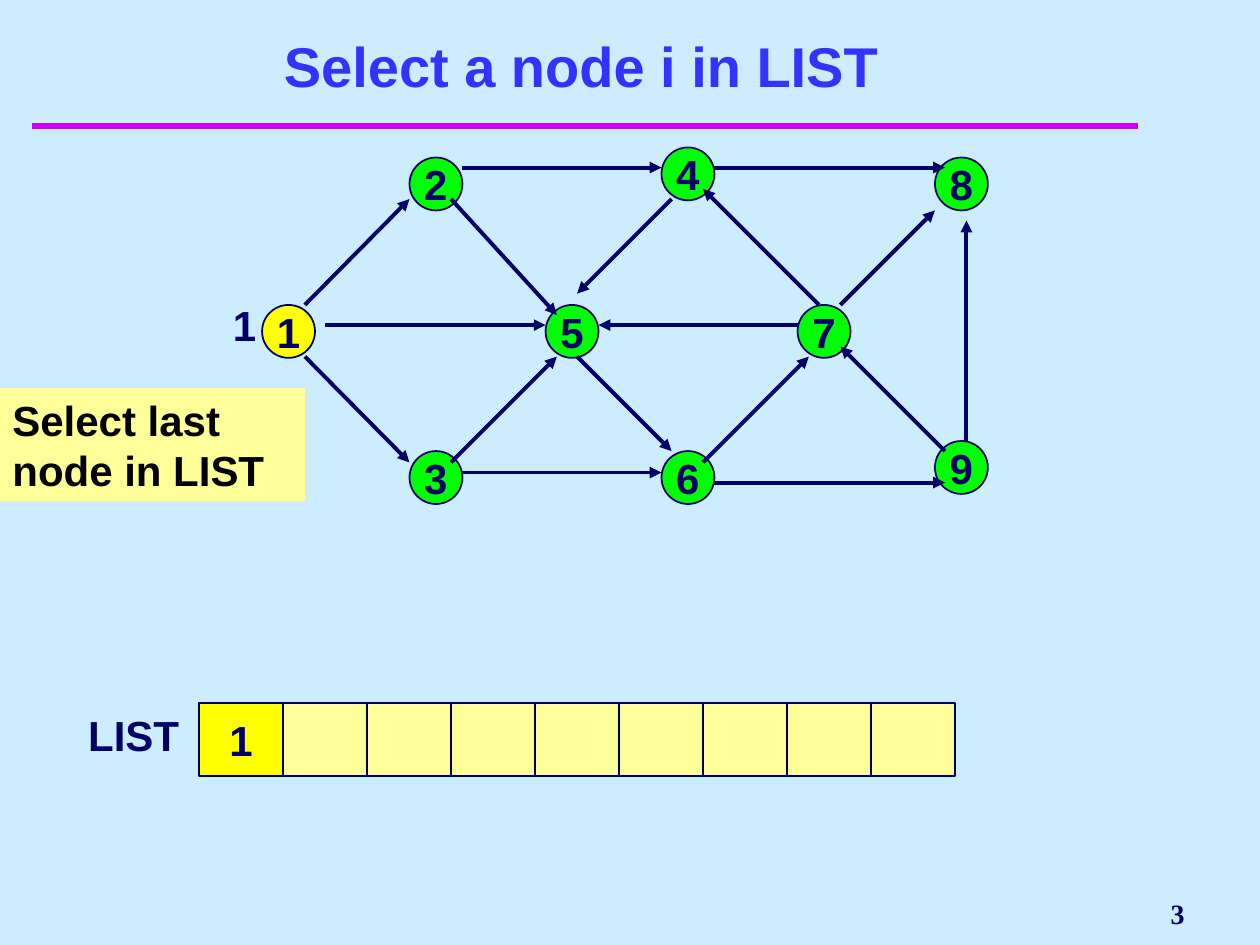
from pptx import Presentation
from pptx.dml.color import RGBColor
from pptx.enum.shapes import MSO_CONNECTOR as Link, MSO_SHAPE as Kind
from pptx.enum.text import MSO_ANCHOR as Anchor, MSO_AUTO_SIZE as Fit, PP_ALIGN as Align
from pptx.oxml.ns import qn
from pptx.util import Inches, Pt
from lxml.etree import SubElement

NAVY, GREEN, YELLOW, CREAM = "000066", "00FF00", "FFFF00", "FFFF99"
SIDE = 0.42
NODES = [
    ("2", 3.25, 1.25), ("4", 5.25, 1.17), ("5", 4.33, 2.42), ("3", 3.25, 3.58),
    ("6", 5.25, 3.58), ("9", 7.42, 3.5), ("7", 6.33, 2.42), ("8", 7.42, 1.25),
]
ARCS = [
    (3.67, 1.33, 5.25, 1.33), (5.67, 1.33, 7.5, 1.33), (6.67, 2.42, 7.42, 1.67),
    (6.5, 2.42, 5.58, 1.5), (5.33, 1.58, 4.58, 2.33), (2.58, 2.58, 4.33, 2.58),
    (3.58, 3.67, 4.42, 2.83), (4.58, 2.83, 5.33, 3.58), (3.67, 3.75, 5.25, 3.75),
    (5.67, 3.83, 7.5, 3.83), (7.5, 3.58, 6.67, 2.75), (7.67, 3.5, 7.67, 1.75),
    (2.42, 2.83, 3.25, 3.67), (2.42, 2.42, 3.25, 1.58), (3.58, 1.58, 4.42, 2.5),
    (6.33, 2.58, 4.75, 2.58), (5.58, 3.67, 6.42, 2.83),
]


def color(code):
    """Turn a hex string into a colour."""
    return RGBColor.from_string(code)


def write(shape, text, size=24, ink=NAVY, font="Arial", align=Align.LEFT,
          anchor=Anchor.TOP, wrap=True):
    """Put one bold run into a shape."""
    frame = shape.text_frame
    frame.word_wrap, frame.auto_size = wrap, Fit.NONE
    frame.vertical_anchor = anchor
    par = frame.paragraphs[0]
    par.alignment = align
    run = par.add_run()
    run.text = text
    run.font.name, run.font.size, run.font.bold = font, Pt(size), True
    run.font.color.rgb = color(ink)


def add_title(slide, text):
    """Place and format the title."""
    title = slide.shapes.title
    title.left, title.top = Inches(0.5), Inches(0.25)
    title.width, title.height = Inches(8.5), Inches(0.58)
    write(title, text, 32, "3333FF", align=Align.CENTER, anchor=Anchor.BOTTOM)
    title.text_frame.margin_right = Inches(0.37)


def add_label(slide, text, x, y, w, h, **style):
    """Add a plain text box."""
    box = slide.shapes.add_textbox(Inches(x), Inches(y), Inches(w), Inches(h))
    write(box, text, **style)
    return box


def add_block(slide, kind, x, y, w, h, fill, text="", edge=NAVY):
    """Add a filled shape with optional centred text."""
    shape = slide.shapes.add_shape(kind, Inches(x), Inches(y), Inches(w), Inches(h))
    shape.shadow.inherit = False
    shape.fill.solid()
    shape.fill.fore_color.rgb = color(fill)
    if edge:
        shape.line.color.rgb = color(edge)
        shape.line.width = Pt(1)
    else:
        shape.line.fill.background()
    if text:
        write(shape, text, align=Align.CENTER, anchor=Anchor.MIDDLE, wrap=False)
    return shape


def add_node(slide, text, x, y, fill=GREEN):
    """Add a numbered node of the graph."""
    add_block(slide, Kind.OVAL, x, y, SIDE, SIDE, fill, text)


def add_line(slide, x1, y1, x2, y2, ink=NAVY, width=2.25, arrow=True):
    """Add a straight line, by default with an arrowhead."""
    line = slide.shapes.add_connector(
        Link.STRAIGHT, Inches(x1), Inches(y1), Inches(x2), Inches(y2))
    line.line.color.rgb = color(ink)
    line.line.width = Pt(width)
    if arrow:
        SubElement(line.line._get_or_add_ln(), qn("a:tailEnd"), type="triangle")
    SubElement(line._element.spPr, qn("a:effectLst"))


def add_list(slide):
    """Add the row of list cells with its label."""
    label = add_label(slide, "LIST", 0.42, 5.58, 1.11, 0.5, wrap=False)
    label.text_frame.margin_left = Inches(0.28)
    step = 2 / 3
    for i in range(9):
        fill, text = (CREAM, "") if i else (YELLOW, "1")
        add_block(slide, Kind.RECTANGLE, 1.58 + i * step, 5.58, step, 0.58, fill, text)


def main():
    """Build the slide."""
    deck = Presentation()
    deck.slide_width, deck.slide_height = Inches(10), Inches(7.5)
    slide = deck.slides.add_slide(deck.slide_layouts[5])
    slide.background.fill.solid()
    slide.background.fill.fore_color.rgb = color("CCECFF")
    add_line(slide, 0.25, 1, 9.03, 1, "CC00FF", 4, False)
    add_label(slide, "3", 7.58, 7, 1.92, 0.5, size=16, font="Times New Roman",
              align=Align.RIGHT, anchor=Anchor.MIDDLE)
    add_title(slide, "Select a node i in LIST")
    hint = add_block(slide, Kind.RECTANGLE, 0, 3.08, 2.42, 0.9, CREAM, edge=None)
    write(hint, "Select last node in LIST", ink="000000")
    for node in NODES:
        add_node(slide, *node)
    for arc in ARCS:
        add_line(slide, *arc)
    add_list(slide)
    add_label(slide, "1", 1.75, 2.33, 0.33, 0.5)
    add_node(slide, "1", 2.08, 2.42, YELLOW)
    deck.save("out.pptx")


if __name__ == "__main__":
    main()
